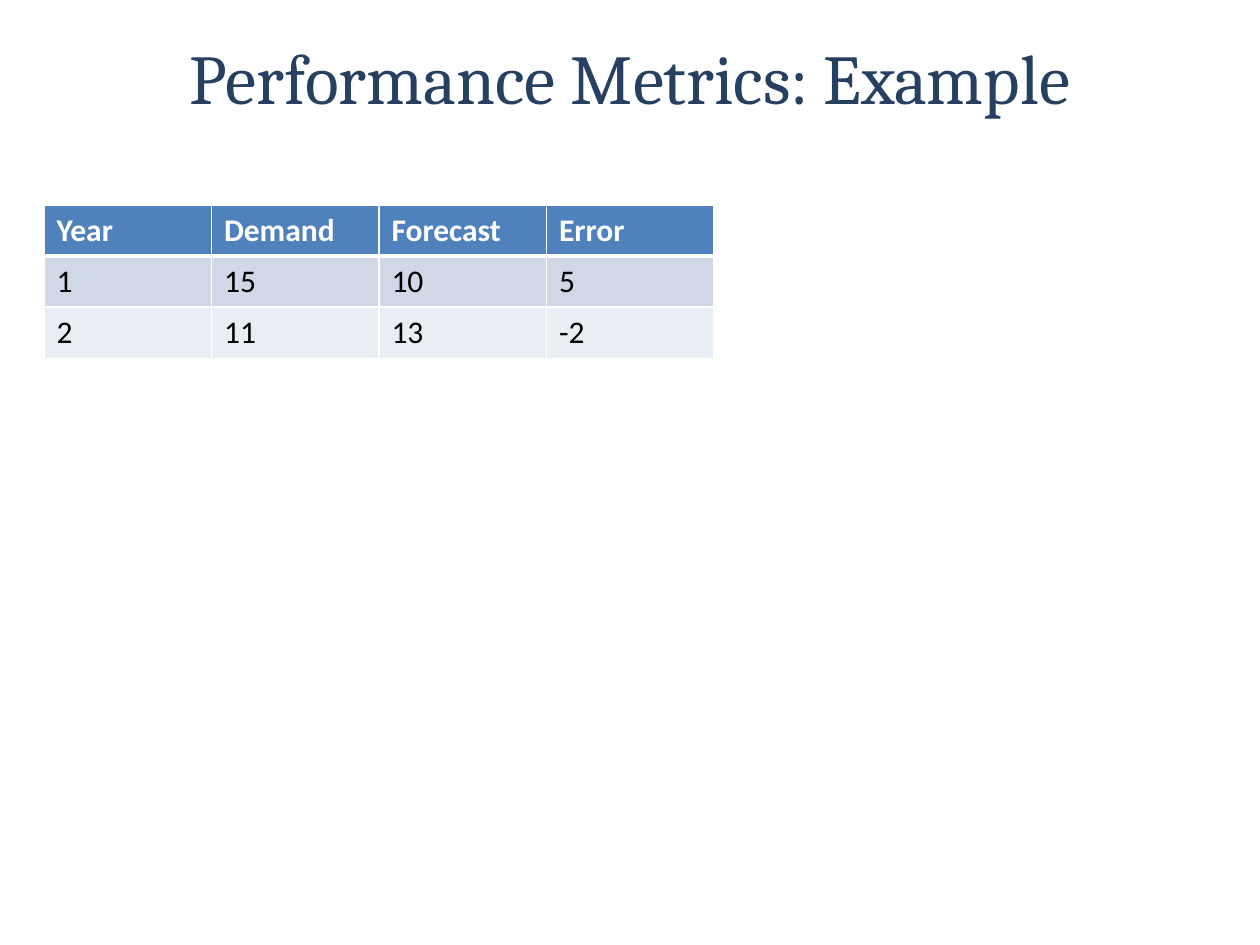
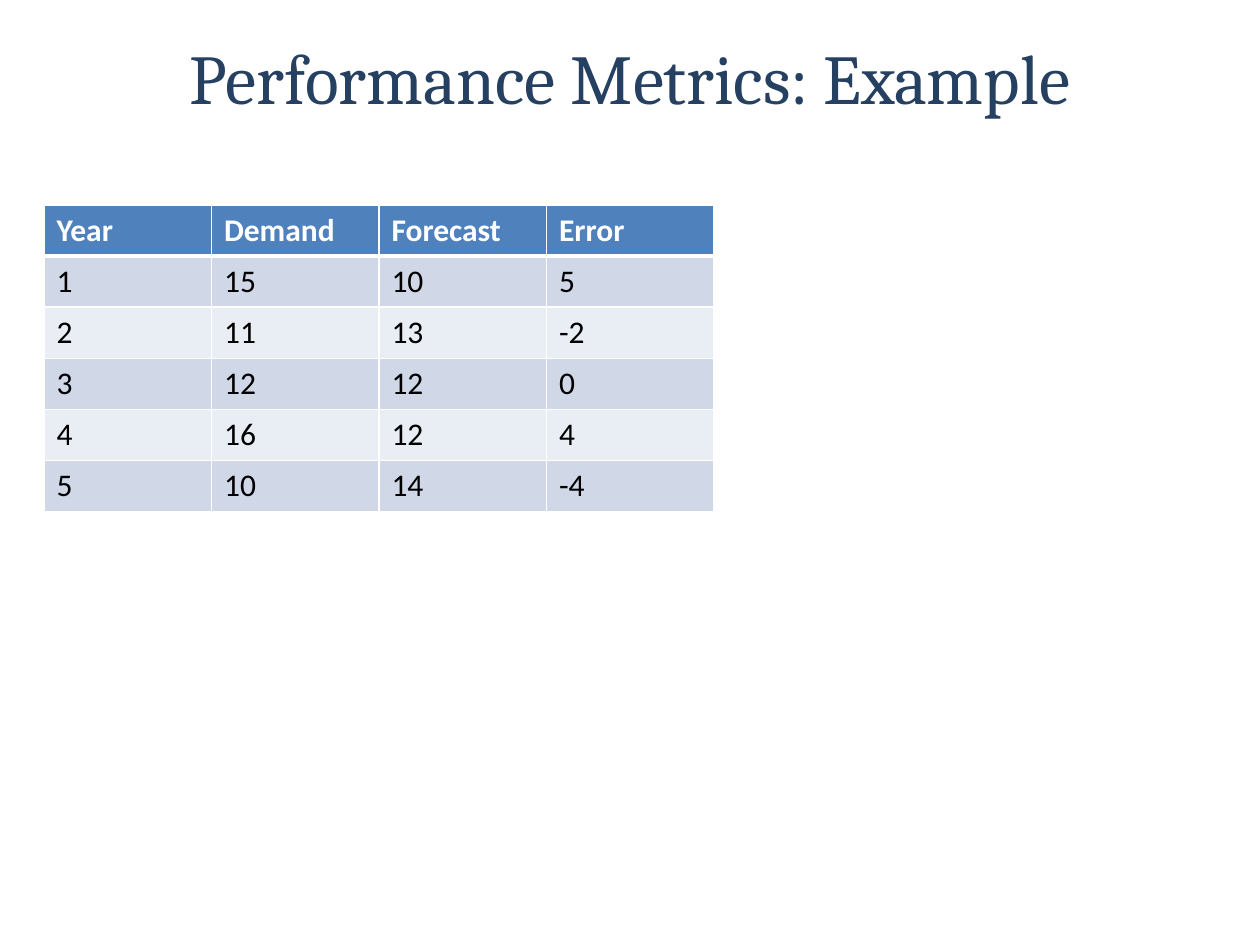
from lxml import etree
from pptx import Presentation
from pptx.dml.color import RGBColor
from pptx.enum.text import MSO_ANCHOR, PP_ALIGN
from pptx.oxml.ns import qn
from pptx.util import Inches, Pt

PX = Inches(1) / 126
CENTER = PP_ALIGN.CENTER
LEFT = PP_ALIGN.LEFT
MIDDLE = MSO_ANCHOR.MIDDLE

NAVY = RGBColor(0x25, 0x40, 0x61)
BLUE = RGBColor(0x4F, 0x81, 0xBD)
BAND_DARK = RGBColor(0xD0, 0xD8, 0xE8)
BAND_LIGHT = RGBColor(0xE9, 0xED, 0xF4)
WHITE = RGBColor(0xFF, 0xFF, 0xFF)
BLACK = RGBColor(0x00, 0x00, 0x00)

TITLE = "Performance Metrics: Example"
TITLE_BOX = (63, 38, 1134, 77)
TABLE_LEFT, TABLE_TOP, TABLE_WIDTH, ROW_HEIGHT = 44, 205, 670, 51

HEADER = ("Year", "Demand", "Forecast", "Error")
DEMAND = (15, 11, 12, 16, 10)
FORECAST = (10, 13, 12, 12, 14)


def px(n):
    """Turn pixels into EMU."""
    return round(n * PX)


def write(tf, text, font="Calibri", size=18, color=BLACK, bold=False, align=LEFT):
    """Fill a text frame with one formatted run."""
    p = tf.paragraphs[0]
    p.alignment = align
    r = p.add_run()
    r.text = text
    r.font.name, r.font.size, r.font.bold = font, Pt(size), bold
    r.font.color.rgb = color


def add_border(cell, side, width):
    """Draw one white edge of a cell."""
    tcPr = cell._tc.get_or_add_tcPr()
    ln = etree.SubElement(tcPr, qn(f"a:ln{side}"), w=str(Pt(width)))
    fill = etree.SubElement(ln, qn("a:solidFill"))
    etree.SubElement(fill, qn("a:srgbClr"), val=str(WHITE))


def add_title(s, box):
    """Place and format the title placeholder."""
    sp = s.shapes.title
    sp.left, sp.top, sp.width, sp.height = map(px, box)
    tf = sp.text_frame
    tf.word_wrap = True
    tf.vertical_anchor = MIDDLE
    write(tf, TITLE, font="Cambria", size=40, color=NAVY, align=CENTER)


def add_error_table(s, left, top, width, row_height, years):
    """Tabulate demand, forecast and error for the first years."""
    rows = [HEADER]
    for year, (d, f) in enumerate(zip(DEMAND[:years], FORECAST), 1):
        rows.append((year, d, f, d - f))
    box = (left, top, width, row_height * len(rows))
    table = s.shapes.add_table(len(rows), len(HEADER), *map(px, box)).table
    for i, values in enumerate(rows):
        table.rows[i].height = px(row_height)
        is_header = i == 0
        band = BLUE if is_header else BAND_DARK if i % 2 else BAND_LIGHT
        for j, value in enumerate(values):
            cell = table.cell(i, j)
            # The edge below the header is shared by rows 0 and 1.
            for side in "LRTB":
                heavy = (i, side) in ((0, "B"), (1, "T"))
                add_border(cell, side, 3 if heavy else 1)
            cell.fill.solid()
            cell.fill.fore_color.rgb = band
            write(cell.text_frame, str(value), bold=is_header,
                  color=WHITE if is_header else BLACK)


def add_example_slide(prs, years):
    """Add a slide that shows the example up to the given year."""
    s = prs.slides.add_slide(prs.slide_layouts[5])
    add_title(s, TITLE_BOX)
    add_error_table(s, TABLE_LEFT, TABLE_TOP, TABLE_WIDTH, ROW_HEIGHT, years)


prs = Presentation()
prs.slide_width, prs.slide_height = Inches(10), Inches(7.5)
for years in (2, 5):
    add_example_slide(prs, years)
prs.save("out.pptx")
